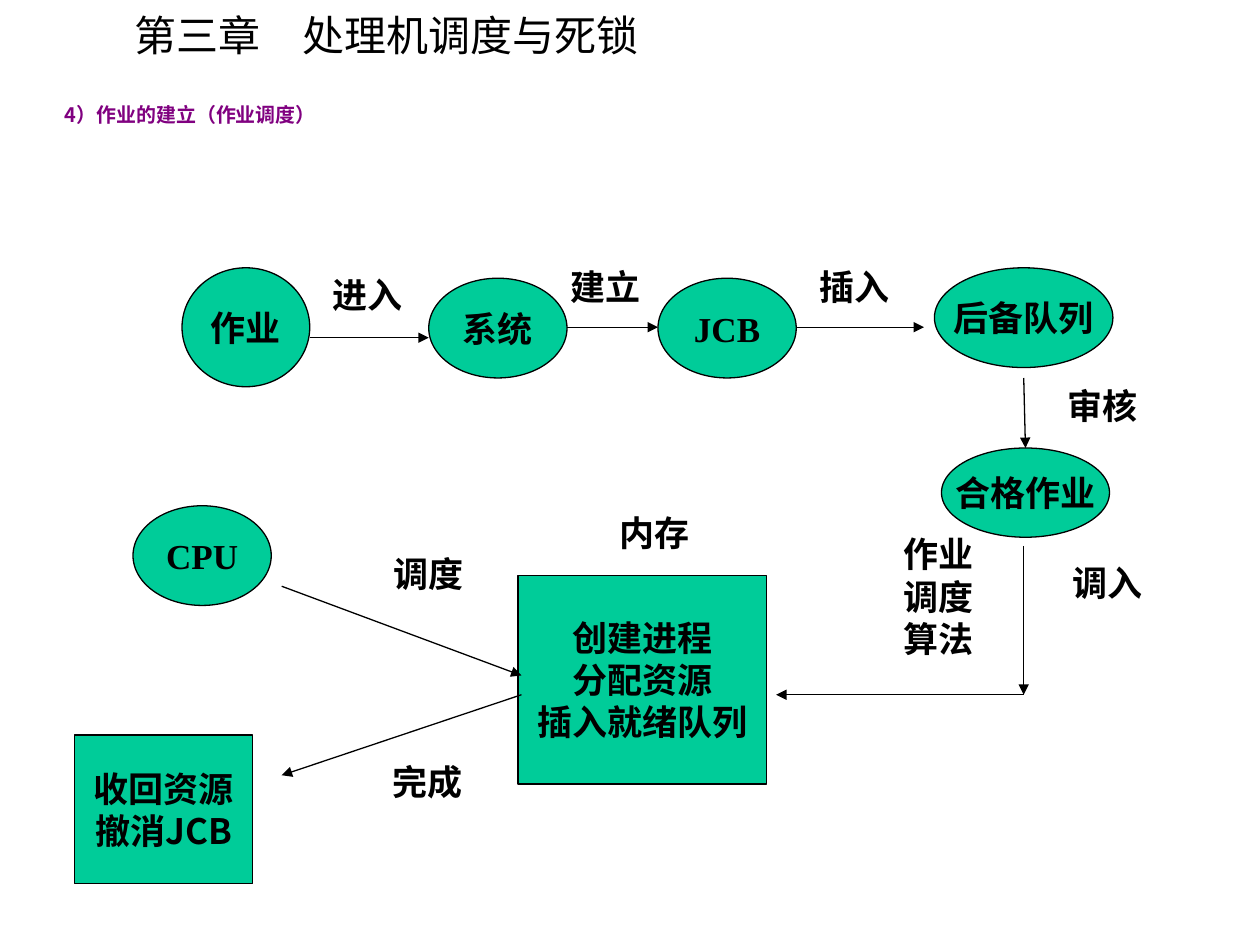
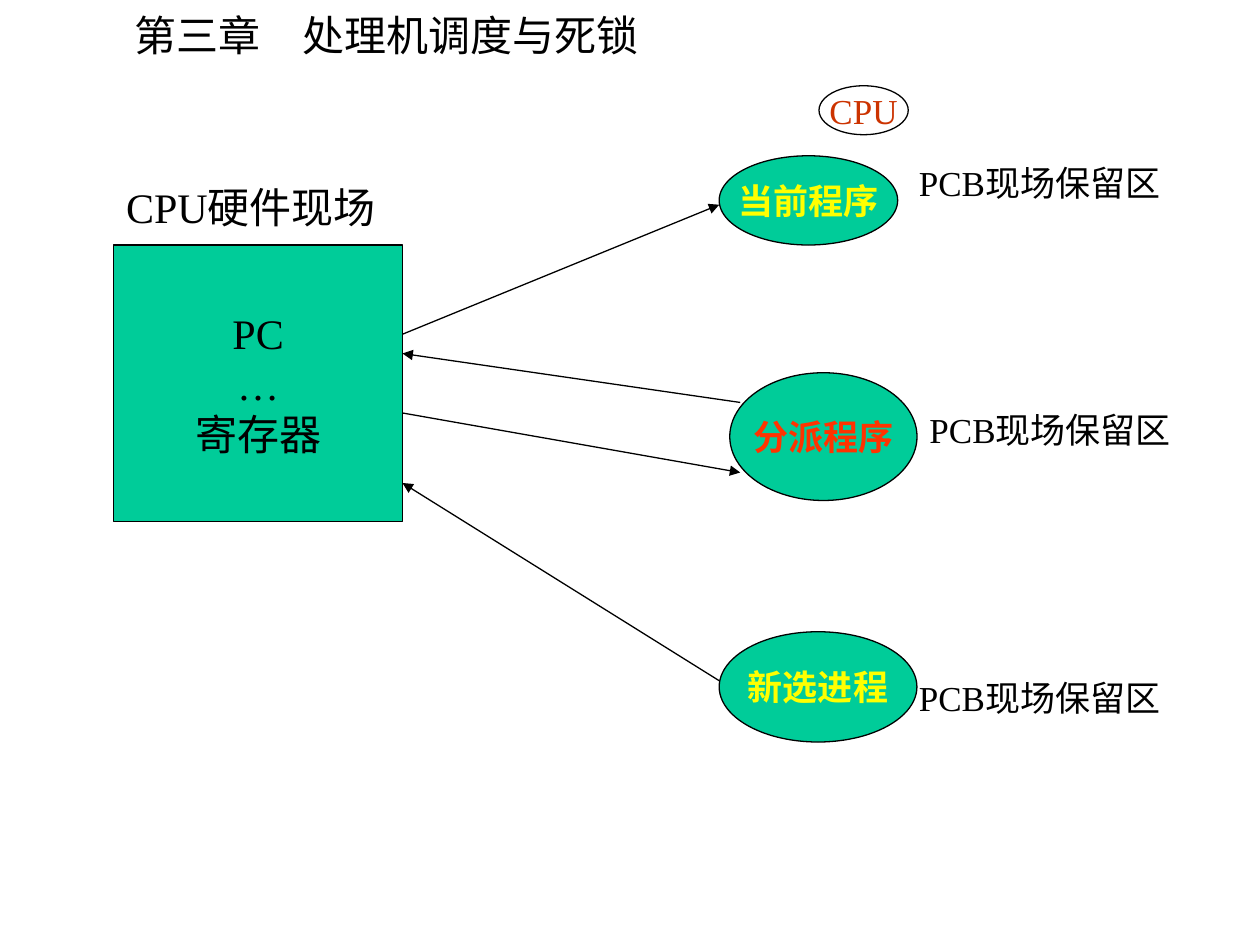
from dataclasses import dataclass
from typing import Optional

from lxml.etree import SubElement
from pptx import Presentation
from pptx.dml.color import RGBColor
from pptx.enum.shapes import MSO_CONNECTOR as CONN, MSO_SHAPE as SHAPE
from pptx.enum.text import MSO_ANCHOR as ANCHOR, PP_ALIGN as ALIGN
from pptx.oxml.ns import qn
from pptx.util import Pt

BLACK = RGBColor(0x00, 0x00, 0x00)
WHITE = RGBColor(0xFF, 0xFF, 0xFF)
GREEN = RGBColor(0x00, 0xCC, 0x99)
PURPLE = RGBColor(0x80, 0x00, 0x80)
YELLOW = RGBColor(0xFF, 0xFF, 0x00)
ORANGE = RGBColor(0xFF, 0x33, 0x00)
BRICK = RGBColor(0xCC, 0x33, 0x00)

SERIF = "Times New Roman"
CJK = "Noto Sans CJK SC"
CHAPTER = "第三章　处理机调度与死锁"
LINE_WIDTH = Pt(0.75)


@dataclass(frozen=True)
class Node:
    text: str
    x: float
    y: float
    w: float
    h: float
    shape: SHAPE = SHAPE.OVAL
    fill: RGBColor = GREEN
    color: RGBColor = BLACK
    size: float = 20
    bold: bool = True
    font: str = SERIF


@dataclass(frozen=True)
class Label:
    text: str
    x: float
    y: float
    w: float = 62
    h: float = 31.5
    size: float = 20
    bold: bool = True


@dataclass(frozen=True)
class Arrow:
    x1: float
    y1: float
    x2: float
    y2: float
    target: Optional[str] = None
    site: int = 0


JOB_NODES = [
    Node("作业", 104, 153, 73, 68),
    Node("系统", 245, 159, 79, 57),
    Node("JCB", 376, 159, 79, 57),
    Node("后备队列", 534, 153, 102, 57),
    Node("合格作业", 538, 256, 96, 51),
    Node("创建进程\n分配资源\n插入就绪队列", 296, 329, 142, 119, SHAPE.RECTANGLE),
    Node("CPU", 76, 289, 79, 57),
    Node("收回资源\n撤消JCB", 42.5, 420, 102, 85, SHAPE.RECTANGLE, font=CJK),
]
JOB_LABELS = [
    Label("进入", 183, 153),
    Label("建立", 319, 148),
    Label("插入", 461, 148),
    Label("审核", 603, 216),
    Label("调入", 605.5, 317.5),
    Label("作业调度算法", 509, 301, h=79),
    Label("内存", 347, 289),
    Label("调度", 218, 312),
    Label("完成", 217, 431),
]
JOB_ARROWS = [
    Arrow(177, 193, 245, 193),
    Arrow(324, 187, 376, 187),
    Arrow(455, 187, 528, 187),
    Arrow(585, 216, 586, 256, "合格作业", 0),
    Arrow(585, 312, 585, 397),
    Arrow(585, 397, 443.5, 397),
    Arrow(161, 335, 298, 386),
    Arrow(298, 397, 161, 443),
]

SWITCH_NODES = [
    Node("PC\n…\n寄存器", 65, 140, 165, 158, SHAPE.RECTANGLE, size=24, bold=False),
    Node("当前程序", 411, 89, 102, 51, color=YELLOW),
    Node("分派程序", 417, 213, 107, 73, color=ORANGE),
    Node("新选进程", 411, 361, 113, 63, color=YELLOW),
    Node("CPU", 468, 49, 51, 28, fill=WHITE, color=BRICK, bold=False),
]
SWITCH_LABELS = [Label("CPU硬件现场", 65, 100, 170, 36, 24, False)] + [
    Label("PCB现场保留区", x, y, 165, bold=False)
    for x, y in [(518, 89), (524, 230), (518, 383)]
]
SWITCH_ARROWS = [
    Arrow(230, 191, 411, 117),
    Arrow(423, 230, 230, 202),
    Arrow(230, 236, 423, 270),
    Arrow(411, 389, 230, 276),
]


def write(tf, text: str, *, size: float = 20, color: RGBColor = BLACK,
          bold: bool = False, font: str = SERIF, align=ALIGN.LEFT,
          anchor=ANCHOR.TOP, wrap: bool = True, spacing: float = 1.0) -> None:
    tf.word_wrap = wrap
    tf.vertical_anchor = anchor
    for i, line in enumerate(text.split("\n")):
        p = tf.add_paragraph() if i else tf.paragraphs[0]
        p.alignment = align
        p.line_spacing = spacing
        r = p.add_run()
        r.text = line
        r.font.size = Pt(size)
        r.font.bold = bold
        r.font.color.rgb = color
        r.font.name = font
        SubElement(r.font._element, qn("a:ea"), typeface=CJK)


def add_text(s, text: str, x: float, y: float, w: float, h: float, **fmt):
    tf = s.shapes.add_textbox(Pt(x), Pt(y), Pt(w), Pt(h)).text_frame
    write(tf, text, **fmt)
    return tf


def add_node(s, n: Node):
    sp = s.shapes.add_shape(n.shape, Pt(n.x), Pt(n.y), Pt(n.w), Pt(n.h))
    sp.shadow.inherit = False
    sp.fill.solid()
    sp.fill.fore_color.rgb = n.fill
    sp.line.color.rgb = BLACK
    sp.line.width = LINE_WIDTH
    write(sp.text_frame, n.text, size=n.size, color=n.color, bold=n.bold,
          font=n.font, align=ALIGN.CENTER, anchor=ANCHOR.MIDDLE, wrap=False)
    return sp


def add_arrow(s, a: Arrow, nodes: dict) -> None:
    c = s.shapes.add_connector(CONN.STRAIGHT, Pt(a.x1), Pt(a.y1), Pt(a.x2), Pt(a.y2))
    c.line.color.rgb = BLACK
    c.line.width = LINE_WIDTH
    SubElement(c.line._get_or_add_ln(), qn("a:tailEnd"), type="triangle")
    SubElement(c._element.spPr, qn("a:effectLst"))
    if a.target:
        c.end_connect(nodes[a.target], a.site)


def add_diagram(prs, nodes: list[Node], labels: list[Label], arrows: list[Arrow]):
    s = prs.slides.add_slide(prs.slide_layouts[6])
    add_text(s, CHAPTER, 70, 2, 307, 36, size=24, font=CJK)
    shapes = {n.text: add_node(s, n) for n in nodes}
    for l in labels:
        add_text(s, l.text, l.x, l.y, l.w, l.h, size=l.size, bold=l.bold)
    for a in arrows:
        add_arrow(s, a, shapes)
    return s


def main() -> None:
    prs = Presentation()
    prs.slide_width, prs.slide_height = Pt(720), Pt(540)
    s = add_diagram(prs, JOB_NODES, JOB_LABELS, JOB_ARROWS)
    tf = add_text(s, "4）作业的建立（作业调度）", 37, 61, 621, 32, size=11.4,
                  color=PURPLE, bold=True, font=CJK, spacing=0.8)
    tf.margin_left = tf.margin_right = tf.margin_top = tf.margin_bottom = 0
    add_diagram(prs, SWITCH_NODES, SWITCH_LABELS, SWITCH_ARROWS)
    prs.save("out.pptx")


if __name__ == "__main__":
    main()
